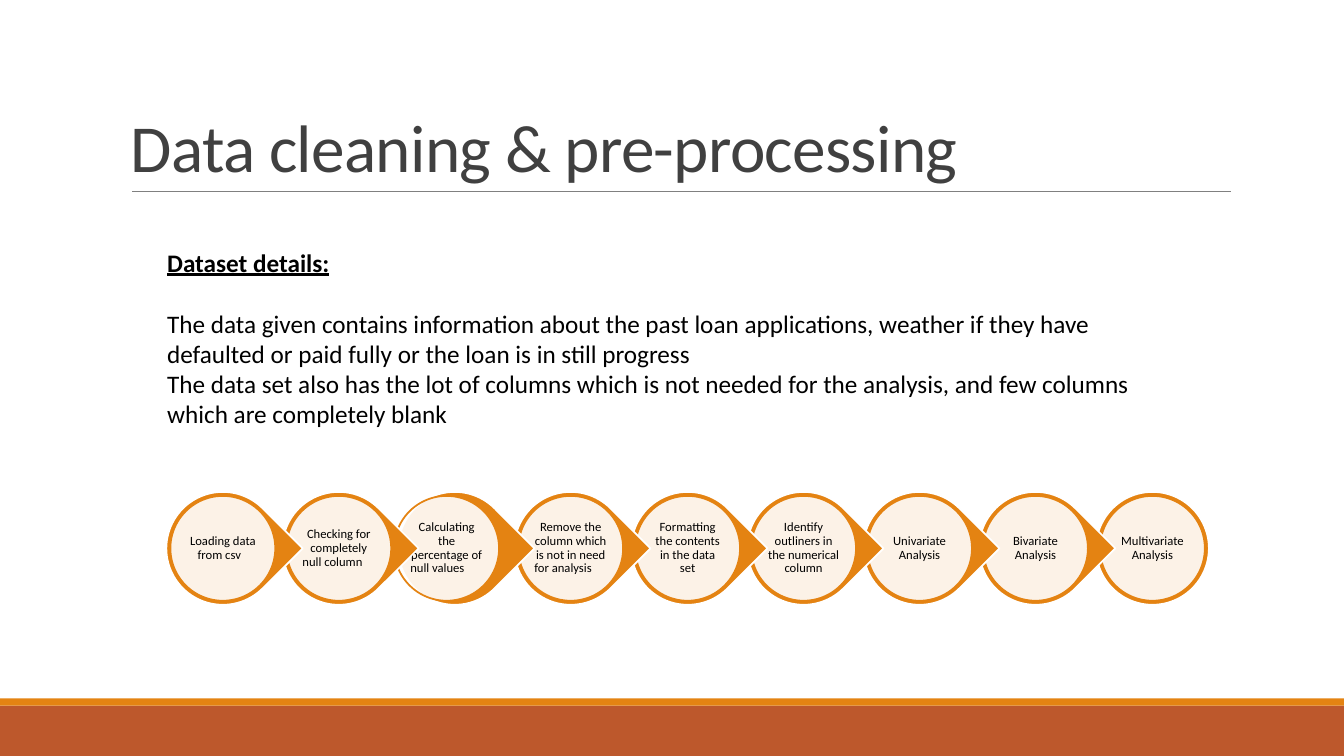
from dataclasses import dataclass

import pptx
import pptx.dml.color
import pptx.enum.shapes
import pptx.enum.text
import pptx.oxml
import pptx.oxml.ns
import pptx.shapes.autoshape
import pptx.shapes.connector
import pptx.slide
import pptx.text.text
import pptx.util

EMU_PER_PX = 9144
SHAPES = pptx.enum.shapes.MSO_SHAPE
ANCHORS = pptx.enum.text.MSO_ANCHOR
ALIGNMENTS = pptx.enum.text.PP_ALIGN


@dataclass(frozen=True)
class Theme:
    font: str = "Calibri"
    orange: str = "E48312"
    rust: str = "BD582C"
    rule: str = "808080"
    title: str = "404040"
    text: str = "000000"
    white: str = "FFFFFF"
    title_size: int = 48
    body_size: int = 18
    step_size: int = 9
    outline: float = 1.25
    rule_width: float = 0.5
    disc_opacity: int = 90


@dataclass(frozen=True)
class Box:
    left: int
    top: int
    width: int
    height: int


@dataclass(frozen=True)
class Step:
    label: str
    disc_shift: int = 4


THEME = Theme()

STEPS = [
    Step("Loading data from csv\t"),
    Step("Checking for completely null column\t"),
    Step("Calculating the percentage of null values\t", disc_shift=-4),
    Step("Remove the column which is not in need for analysis \t"),
    Step("Formatting the contents in the data set"),
    Step("Identify outliners in the numerical column"),
    Step("Univariate Analysis"),
    Step("Bivariate Analysis"),
    Step("Multivariate Analysis"),
]
CHAIN_LEFT, CHAIN_TOP = 165, 488
CHAIN_SPAN = 922
DROP_SIZE, DISC_SIZE, LABEL_SIZE = 112, 104, 74

DETAILS = [
    "The data given contains information about the past loan applications, weather if they have "
    "defaulted or paid fully or the loan is in still progress",
    "The data set also has the lot of columns which is not needed for the analysis, and few columns "
    "which are completely blank",
]


def px(length: int) -> pptx.util.Emu:
    return pptx.util.Emu(length * EMU_PER_PX)


def rgb(color: str) -> pptx.dml.color.RGBColor:
    return pptx.dml.color.RGBColor.from_string(color)


def add_filled_shape(
    slide: pptx.slide.Slide,
    kind: pptx.enum.shapes.MSO_SHAPE,
    box: Box,
    fill: str,
    line: str | None = None,
) -> pptx.shapes.autoshape.Shape:
    shape = slide.shapes.add_shape(kind, px(box.left), px(box.top), px(box.width), px(box.height))
    shape.shadow.inherit = False
    shape.fill.solid()
    shape.fill.fore_color.rgb = rgb(fill)
    if line is None:
        shape.line.fill.background()
    else:
        shape.line.color.rgb = rgb(line)
        shape.line.width = pptx.util.Pt(THEME.outline)
    return shape


def set_opacity(shape: pptx.shapes.autoshape.Shape, percent: int) -> None:
    color = shape.fill._xPr.find(".//" + pptx.oxml.ns.qn("a:srgbClr"))
    alpha = pptx.oxml.parse_xml(f'<a:alpha {pptx.oxml.ns.nsdecls("a")} val="{percent * 1000}"/>')
    color.append(alpha)


def add_text_frame(
    slide: pptx.slide.Slide, box: Box, anchor: pptx.enum.text.MSO_ANCHOR
) -> pptx.text.text.TextFrame:
    shape = slide.shapes.add_textbox(px(box.left), px(box.top), px(box.width), px(box.height))
    frame = shape.text_frame
    frame.word_wrap = True
    frame.vertical_anchor = anchor
    return frame


def write_paragraph(
    paragraph: pptx.text.text._Paragraph, text: str, size: int, color: str
) -> None:
    paragraph.add_run().text = text
    paragraph.font.name = THEME.font
    paragraph.font.size = pptx.util.Pt(size)
    paragraph.font.color.rgb = rgb(color)


def add_rule(slide: pptx.slide.Slide, left: int, right: int, top: int) -> None:
    connector = slide.shapes.add_connector(
        pptx.enum.shapes.MSO_CONNECTOR.STRAIGHT, px(left), px(top), px(right), px(top)
    )
    connector.line.color.rgb = rgb(THEME.rule)
    connector.line.width = pptx.util.Pt(THEME.rule_width)
    properties = connector._element.spPr
    properties.append(pptx.oxml.parse_xml(f'<a:effectLst {pptx.oxml.ns.nsdecls("a")}/>'))


def add_title(slide: pptx.slide.Slide) -> None:
    frame = add_text_frame(slide, Box(120, 31, 1100, 159), ANCHORS.BOTTOM)
    paragraph = frame.paragraphs[0]
    write_paragraph(paragraph, "Data cleaning & pre-processing", THEME.title_size, THEME.title)
    paragraph.line_spacing = 0.85
    paragraph.runs[0]._r.get_or_add_rPr().set("spc", "-50")


def add_details(slide: pptx.slide.Slide) -> None:
    frame = add_text_frame(slide, Box(156, 240, 1007, 192), ANCHORS.TOP)
    heading = frame.paragraphs[0]
    write_paragraph(heading, "Dataset details:", THEME.body_size, THEME.text)
    heading.font.bold = True
    heading.font.underline = True
    heading.space_after = pptx.util.Pt(22)
    for detail in DETAILS:
        write_paragraph(frame.add_paragraph(), detail, THEME.body_size, THEME.text)


def add_step(slide: pptx.slide.Slide, step: Step, left: int, is_last: bool) -> None:
    kind = SHAPES.OVAL if is_last else SHAPES.TEAR
    drop_box = Box(left, CHAIN_TOP, DROP_SIZE, DROP_SIZE)
    drop = add_filled_shape(slide, kind, drop_box, THEME.orange, THEME.white)
    drop.rotation = 0 if is_last else 45

    disc_left = left + step.disc_shift
    disc_top = CHAIN_TOP + (DROP_SIZE - DISC_SIZE) // 2
    disc_box = Box(disc_left, disc_top, DISC_SIZE, DISC_SIZE)
    disc = add_filled_shape(slide, SHAPES.OVAL, disc_box, THEME.white, THEME.orange)
    set_opacity(disc, THEME.disc_opacity)

    inset = (DISC_SIZE - LABEL_SIZE) // 2
    label_box = Box(disc_left + inset, disc_top + inset, LABEL_SIZE, LABEL_SIZE)
    frame = add_text_frame(slide, label_box, ANCHORS.MIDDLE)
    frame.margin_left = frame.margin_right = px(1)
    frame.margin_top = frame.margin_bottom = px(1)
    paragraph = frame.paragraphs[0]
    write_paragraph(paragraph, step.label, THEME.step_size, THEME.text)
    paragraph.alignment = ALIGNMENTS.CENTER
    paragraph.line_spacing = 0.9


def main() -> None:
    presentation = pptx.Presentation()
    presentation.slide_width = px(1333)
    presentation.slide_height = px(750)
    slide = presentation.slides.add_slide(presentation.slide_layouts[6])

    add_filled_shape(slide, SHAPES.RECTANGLE, Box(0, 700, 1333, 50), THEME.rust)
    add_filled_shape(slide, SHAPES.RECTANGLE, Box(0, 693, 1333, 7), THEME.orange)
    add_rule(slide, left=131, right=1221, top=190)
    add_title(slide)
    last = len(STEPS) - 1
    for index, step in reversed(list(enumerate(STEPS))):
        add_step(slide, step, CHAIN_LEFT + index * CHAIN_SPAN // last, index == last)
    add_details(slide)
    presentation.save("out.pptx")


if __name__ == "__main__":
    main()
